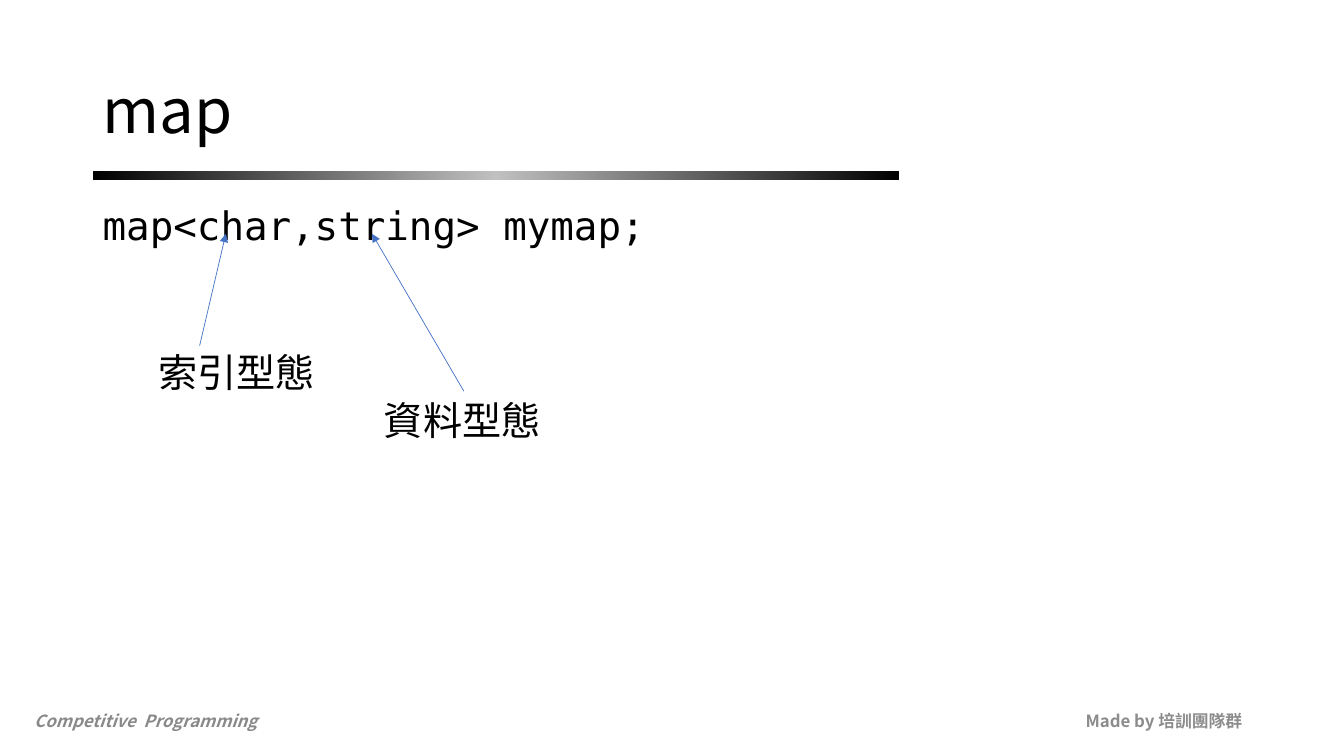
"""Build a slide that explains the two types of a C++ map."""
import copy
from dataclasses import dataclass

import pptx
import pptx.dml.color
import pptx.enum.shapes
import pptx.enum.text
import pptx.oxml
import pptx.oxml.ns
import pptx.util

ANCHOR = pptx.enum.text.MSO_ANCHOR
ALIGN = pptx.enum.text.PP_ALIGN
qn = pptx.oxml.ns.qn


@dataclass(frozen=True)
class Theme:
    sans: str = "Noto Sans CJK SC"
    mono: str = "DejaVu Sans Mono"
    ink: str = "000000"
    shine: str = "C0C0C0"
    left: str = "898989"
    right: str = "8C8C8C"
    blue: str = "4472C4"
    title: int = 44
    body: int = 28
    foot: int = 12
    line: float = 0.5


class Board:
    cell = pptx.util.Inches(0.1)

    def __init__(self, slide, theme):
        self.slide = slide
        self.theme = theme

    def grid(self, *units):
        return [round(unit * self.cell) for unit in units]

    def color(self, code):
        return pptx.dml.color.RGBColor.from_string(code)

    def text(self, words, box, size, face, tint=None, anchor=ANCHOR.TOP,
             align=ALIGN.LEFT, bold=False, slant=False, lead=None, wrap=True):
        shape = self.slide.shapes.add_textbox(*self.grid(*box))
        frame = shape.text_frame
        frame.word_wrap = wrap
        frame.vertical_anchor = anchor
        para = frame.paragraphs[0]
        para.text = words
        para.alignment = align
        if lead:
            para.line_spacing = lead
        font = para.font
        font.size = pptx.util.Pt(size)
        font.name = face
        font.bold = bold
        font.italic = slant
        font.color.rgb = self.color(tint or self.theme.ink)
        east = pptx.oxml.parse_xml(
            f'<a:ea {pptx.oxml.ns.nsdecls("a")} typeface="{self.theme.sans}"/>')
        para._p.pPr.find(qn("a:defRPr")).append(east)
        return shape

    def bar(self, box):
        kind = pptx.enum.shapes.MSO_SHAPE.RECTANGLE
        shape = self.slide.shapes.add_shape(kind, *self.grid(*box))
        shape.shadow.inherit = False
        shape.line.fill.background()
        fill = shape.fill
        fill.gradient()
        fill.gradient_angle = 0
        stops = shape._element.spPr.find(".//" + qn("a:gsLst"))
        stops.insert(1, copy.deepcopy(stops[0]))
        tints = (self.theme.ink, self.theme.shine, self.theme.ink)
        for place, (stop, tint) in enumerate(zip(fill.gradient_stops, tints)):
            stop.position = place / 2
            stop.color.rgb = self.color(tint)

    def arrow(self, start, end, source=None):
        kind = pptx.enum.shapes.MSO_CONNECTOR.STRAIGHT
        link = self.slide.shapes.add_connector(kind, *self.grid(*start, *end))
        if source is not None:
            link.begin_connect(source, 0)
        link.line.color.rgb = self.color(self.theme.blue)
        link.line.width = pptx.util.Pt(self.theme.line)
        space = pptx.oxml.ns.nsdecls("a")
        link.line._get_or_add_ln().append(
            pptx.oxml.parse_xml(f'<a:tailEnd {space} type="triangle"/>'))
        link._element.spPr.append(
            pptx.oxml.parse_xml(f"<a:effectLst {space}/>"))


def main():
    deck = pptx.Presentation()
    deck.slide_width = pptx.util.Inches(13.33)
    deck.slide_height = pptx.util.Inches(7.5)
    theme = Theme()
    board = Board(deck.slides.add_slide(deck.slide_layouts[6]), theme)

    board.text("Made by 培訓團隊群", (94.2, 69.5, 30, 4), theme.foot, theme.sans,
               theme.right, ANCHOR.MIDDLE, ALIGN.RIGHT, bold=True)
    board.text("Competitive  Programming", (2.4, 69.5, 30, 4), theme.foot,
               theme.sans, theme.left, ANCHOR.MIDDLE, bold=True, slant=True)
    board.bar((9.2, 17, 80, 0.9))
    board.text("map", (9.2, 4, 115, 14.5), theme.title, theme.sans,
               anchor=ANCHOR.MIDDLE, lead=0.9)
    code = board.text("map<char,string> mymap;", (9.2, 20, 84.5, 47.6),
                      theme.body, theme.mono, lead=0.9)
    code.text_frame.paragraphs[0].space_before = pptx.util.Pt(10)

    board.text("索引型態", (14.7, 34.1, 17.8, 5.7), theme.body, theme.mono,
               wrap=False)
    data = board.text("資料型態", (37.1, 38.8, 17.8, 5.7), theme.body,
                      theme.mono, wrap=False)
    board.arrow((46, 38.8), (36.9, 23.2), data)
    board.arrow((19.8, 34.3), (22.4, 23.2))
    deck.save("out.pptx")


if __name__ == "__main__":
    main()
